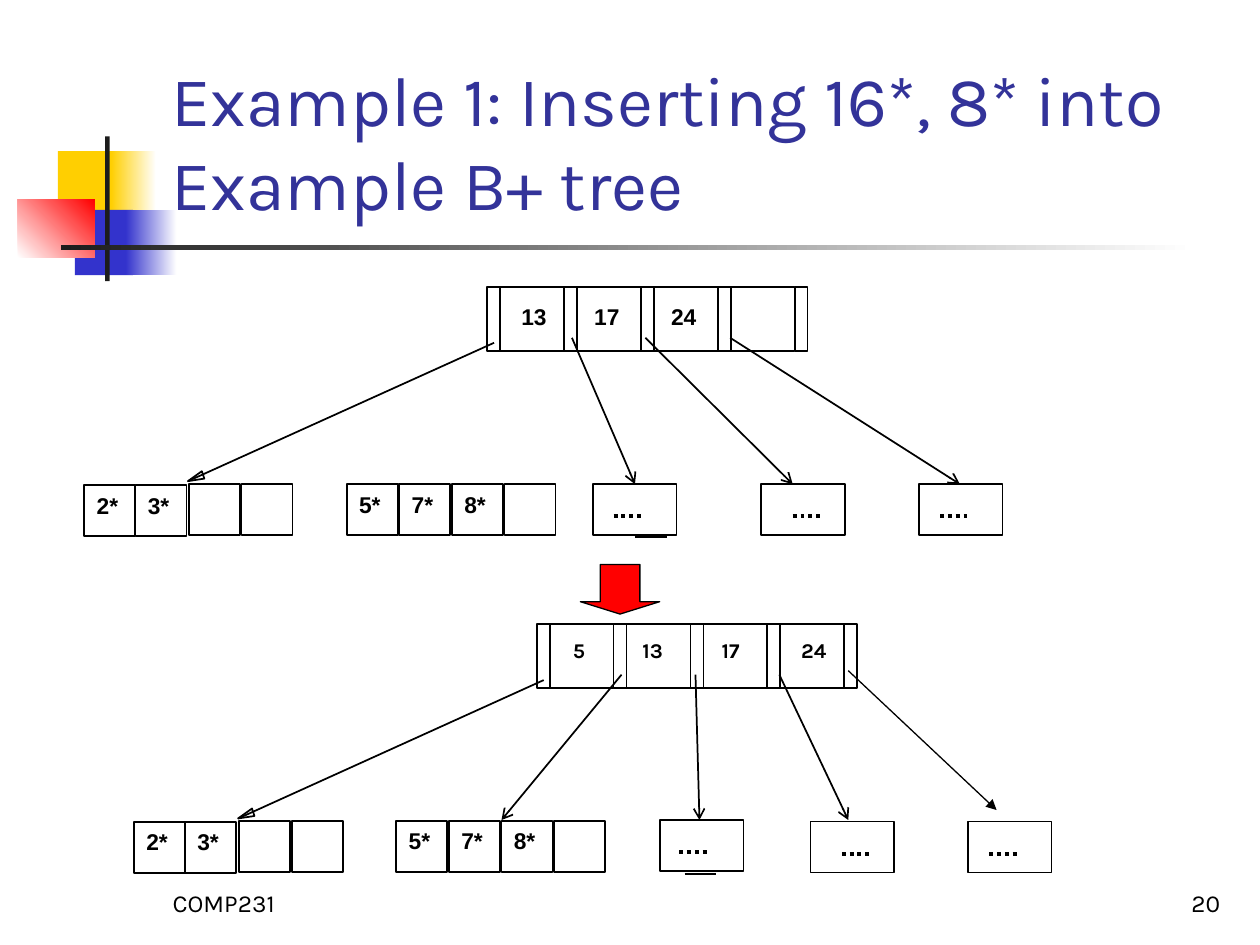
from dataclasses import dataclass
from typing import NamedTuple

import pptx
import pptx.dml.color
import pptx.enum.dml
import pptx.enum.shapes
import pptx.enum.text
import pptx.oxml.ns
import pptx.util
from lxml import etree

Cm = pptx.util.Cm
Shape = pptx.enum.shapes.MSO_SHAPE
Align = pptx.enum.text.PP_ALIGN
Anchor = pptx.enum.text.MSO_ANCHOR


@dataclass(frozen=True)
class Theme:
    black: str = "000000"
    white: str = "FFFFFF"
    dark: str = "1C1C1C"
    title: str = "333399"
    yellow: str = "FFCF01"
    blue: str = "3333CC"
    red: str = "FF0000"
    heading_font: str = "Karla"
    node_font: str = "Arial"
    title_pt: int = 40
    footer_pt: int = 14
    leaf_pt: int = 13
    new_key_pt: int = 12
    line_pt: float = 1
    thin_pt: float = 0.75
    dots_pt: float = 2.25


class Band(NamedTuple):
    x: float
    y: float
    w: float
    h: float
    start: str
    end: str = ""
    angle: int = 0


class Label(NamedTuple):
    x: float
    text: str


class Root(NamedTuple):
    x: float
    y: float
    keys: list[Label]
    key_y: float
    font: str
    size: int


class Leaf(NamedTuple):
    x: float
    y: float
    entries: list[str]
    pitch: float = 1.06


class Subtree(NamedTuple):
    """A box that stands for an elided leaf, with its dots starting at dots_x."""
    x: float
    y: float
    dots_x: float


class Line(NamedTuple):
    x1: float
    y1: float
    x2: float
    y2: float
    head: str = "arrow"
    width: float = Theme.line_pt
    dash: pptx.enum.dml.MSO_LINE | None = None


T = Theme()
KEY_W, ROOT_H, POINTER_W = 1.55, 1.29, 0.26
CELL, SUBTREE_W, DOTS_W, DOTS_DY = 1.03, 1.69, 0.63, 0.65
LABEL_W, LABEL_H = 1.4, 0.79

BANDS = [
    Band(1.17, 3.05, 1.22, 1.32, T.yellow),
    Band(2.24, 3.05, 0.91, 1.32, T.yellow, T.white),
    Band(1.51, 4.23, 1.17, 1.32, T.blue),
    Band(2.54, 4.23, 1.02, 1.32, T.blue, T.white),
    Band(0.36, 4.02, 1.55, 1.17, T.white, T.red, 45),
    Band(2.12, 2.75, 0.09, 2.92, T.dark),
    Band(1.23, 4.94, 22.86, 0.1, T.dark, T.white),
]
ROOTS = [
    Root(9.82, 5.79, [Label(10.26, "13"), Label(11.73, "17"), Label(13.28, "24")],
         5.97, T.node_font, T.leaf_pt),
    Root(10.82, 12.58, [Label(11.3, "5"), Label(12.7, "13"), Label(14.3, "17"), Label(15.9, "24")],
         12.73, T.heading_font, T.new_key_pt),
]
LEAVES = [
    Leaf(1.7, 9.78, ["2*", "3*"], CELL),
    Leaf(3.81, 9.76, ["", ""]),
    Leaf(6.99, 9.76, ["5*", "7*", "8*", ""]),
    Leaf(2.7, 16.57, ["2*", "3*"], CELL),
    Leaf(4.82, 16.55, ["", ""]),
    Leaf(7.99, 16.55, ["5*", "7*", "8*", ""]),
]
SUBTREES = [
    Subtree(11.95, 9.76, 12.37), Subtree(15.34, 9.76, 15.98), Subtree(18.52, 9.76, 18.95),
    Subtree(13.3, 16.53, 13.69), Subtree(16.34, 16.56, 16.97), Subtree(19.51, 16.56, 19.94),
]
FIRST_POINTERS = [Line(9.96, 6.91, 3.79, 9.7, ""), Line(10.96, 13.71, 4.8, 16.5, "")]
LINES = [
    Line(11.53, 6.81, 12.8, 9.76), Line(13.01, 6.81, 15.98, 9.76), Line(14.72, 6.81, 19.35, 9.76),
    Line(12.53, 13.6, 10.11, 16.53), Line(14.02, 13.6, 14.1, 16.53),
    Line(15.71, 13.6, 17.1, 16.53), Line(17.1, 13.52, 20.09, 16.33, "triangle", T.thin_pt),
    Line(12.8, 10.82, 13.44, 10.82, ""), Line(13.8, 17.62, 14.44, 17.62, ""),
]


def rgb(color: str) -> pptx.dml.color.RGBColor:
    return pptx.dml.color.RGBColor.from_string(color)


def outline(sp, width: float = T.line_pt) -> None:
    sp.line.color.rgb = rgb(T.black)
    sp.line.width = pptx.util.Pt(width)
    sp.shadow.inherit = False


def add_run(p, text: str, font: str, size: int, color: str = T.black, bold: bool = False) -> None:
    r = p.add_run()
    r.text = text
    r.font.name, r.font.size, r.font.bold = font, pptx.util.Pt(size), bold
    r.font.color.rgb = rgb(color)


def add_band(s, b: Band) -> None:
    sp = s.shapes.add_shape(Shape.RECTANGLE, Cm(b.x), Cm(b.y), Cm(b.w), Cm(b.h))
    sp.shadow.inherit = False
    sp.line.fill.background()
    if b.end:
        sp.fill.gradient()
        sp.fill.gradient_angle = b.angle
        for stop, color in zip(sp.fill.gradient_stops, (b.start, b.end)):
            stop.color.rgb = rgb(color)
    else:
        sp.fill.solid()
        sp.fill.fore_color.rgb = rgb(b.start)


def add_box(s, x: float, y: float, w: float, h: float) -> None:
    sp = s.shapes.add_shape(Shape.RECTANGLE, Cm(x), Cm(y), Cm(w), Cm(h))
    sp.fill.background()
    outline(sp)


def add_line(s, ln: Line) -> None:
    c = s.shapes.add_connector(pptx.enum.shapes.MSO_CONNECTOR.STRAIGHT,
                               Cm(ln.x1), Cm(ln.y1), Cm(ln.x2), Cm(ln.y2))
    c.line.color.rgb = rgb(T.black)
    c.line.width = pptx.util.Pt(ln.width)
    if ln.dash:
        c.line.dash_style = ln.dash
    qn = pptx.oxml.ns.qn
    if ln.head:
        etree.SubElement(c.line._get_or_add_ln(), qn("a:tailEnd"), type=ln.head)
    etree.SubElement(c.element.spPr, qn("a:effectLst"))


def add_label(s, x: float, y: float, text: str, font: str, size: int) -> None:
    tf = s.shapes.add_textbox(Cm(x), Cm(y), Cm(LABEL_W), Cm(LABEL_H)).text_frame
    tf.word_wrap = True
    add_run(tf.paragraphs[0], text, font, size, bold=True)


def add_root(s, root: Root) -> None:
    for i in range(4):
        x = root.x + i * KEY_W
        add_box(s, x, root.y, KEY_W, ROOT_H)
        add_line(s, Line(x + POINTER_W, root.y, x + POINTER_W, root.y + ROOT_H, ""))
    add_box(s, root.x + 4 * KEY_W, root.y, POINTER_W, ROOT_H)
    for key in root.keys:
        add_label(s, key.x, root.key_y, key.text, root.font, root.size)


def add_leaf(s, leaf: Leaf) -> None:
    for i, entry in enumerate(leaf.entries):
        x = leaf.x + i * leaf.pitch
        add_box(s, x, leaf.y, CELL, CELL)
        if entry:
            add_label(s, x, leaf.y, entry, T.node_font, T.leaf_pt)


def add_subtree(s, t: Subtree) -> None:
    add_box(s, t.x, t.y, SUBTREE_W, CELL)
    y = t.y + DOTS_DY
    add_line(s, Line(t.dots_x, y, t.dots_x + DOTS_W, y, "", T.dots_pt,
                     pptx.enum.dml.MSO_LINE.ROUND_DOT))


def add_first_pointer(s, ln: Line) -> None:
    """Draw a line that ends in a hollow triangular head."""
    add_line(s, ln)
    fb = s.shapes.build_freeform(Cm(ln.x2), Cm(ln.y2))
    fb.add_line_segments([(Cm(ln.x2 + dx), Cm(ln.y2 + dy)) for dx, dy in ((0.33, -0.05), (0.28, -0.2))])
    sp = fb.convert_to_shape()
    sp.fill.background()
    outline(sp)


def add_footer(s, x: float, text: str, align: Align) -> None:
    tf = s.shapes.add_textbox(Cm(x), Cm(17.35), Cm(5.28), Cm(1.27)).text_frame
    tf.word_wrap, tf.vertical_anchor = True, Anchor.BOTTOM
    tf.paragraphs[0].alignment = align
    add_run(tf.paragraphs[0], text, T.heading_font, T.footer_pt)


def add_title(s, text: str) -> None:
    sp = s.shapes.title
    sp.left, sp.top, sp.width, sp.height = Cm(3.2), Cm(0.59), Cm(21.64), Cm(4.06)
    tf = sp.text_frame
    tf.auto_size, tf.vertical_anchor = pptx.enum.text.MSO_AUTO_SIZE.NONE, Anchor.BOTTOM
    tf.paragraphs[0].alignment = Align.LEFT
    add_run(tf.paragraphs[0], text, T.heading_font, T.title_pt, T.title)
    sp.element.getparent().append(sp.element)


def add_step_arrow(s) -> None:
    sp = s.shapes.add_shape(Shape.DOWN_ARROW, Cm(11.7), Cm(11.38), Cm(1.6), Cm(1))
    sp.adjustments[0], sp.adjustments[1] = 0.5, 0.25
    sp.fill.solid()
    sp.fill.fore_color.rgb = rgb(T.red)
    outline(sp, T.thin_pt)


def main() -> None:
    prs = pptx.Presentation()
    prs.slide_width, prs.slide_height = Cm(25.4), Cm(19.05)
    s = prs.slides.add_slide(prs.slide_layouts[5])
    for draw, items in ((add_band, BANDS), (add_root, ROOTS), (add_leaf, LEAVES),
                        (add_subtree, SUBTREES), (add_first_pointer, FIRST_POINTERS), (add_line, LINES)):
        for item in items:
            draw(s, item)
    add_step_arrow(s)
    add_title(s, "Example 1: Inserting 16*, 8* into Example B+ tree")
    add_footer(s, 3.23, "COMP231", Align.LEFT)
    add_footer(s, 19.57, "20", Align.RIGHT)
    prs.save("out.pptx")


if __name__ == "__main__":
    main()
